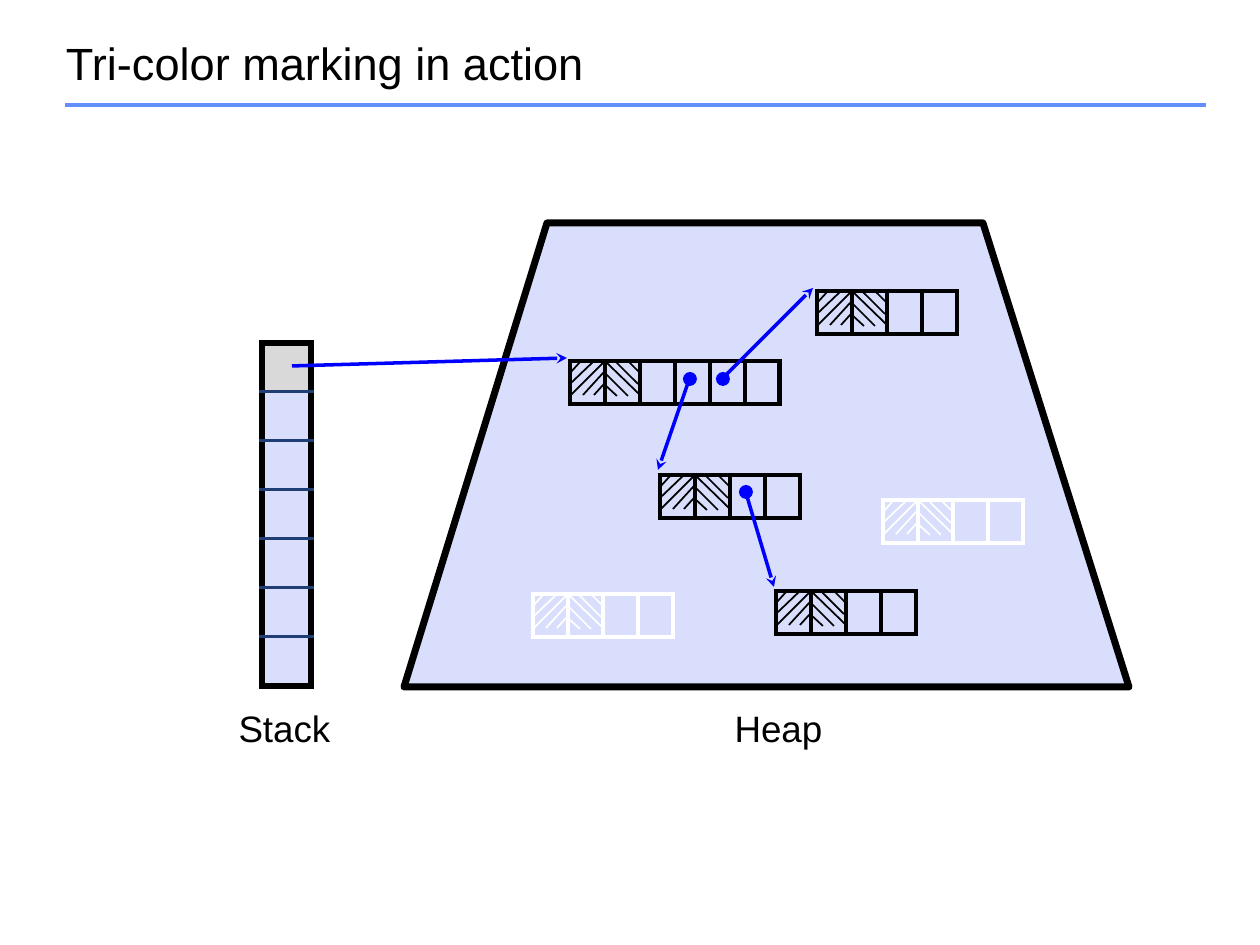
"""Builds the slide on tri-color marking with a stack, a heap and linked objects."""
from lxml.etree import SubElement as Sub
from pptx import Presentation
from pptx.dml.color import RGBColor as Rgb
from pptx.enum.shapes import MSO_CONNECTOR as Con, MSO_SHAPE as Kind
from pptx.enum.text import MSO_ANCHOR as Anchor, PP_ALIGN as Align
from pptx.oxml.ns import qn
from pptx.util import Pt

PX = 914400 // 126
FONT = "Arial"
HEX = dict(black="000000", white="FFFFFF", blue="0000FF", rule="618FFD",
           pale="BFC8FB", grey="D9D9D9", navy="1F3E75")

TITLE = ("Tri-color marking in action", 53, 31, 1155, 63, 25.8, Align.LEFT, (13, 13))
LABELS = [("Stack", 232), ("Heap", 726)]
HEAP = [(547, 223), (983, 223), (1129, 687), (404, 687)]
STACK = dict(x=262, y=343, side=49, rows=7)
CELL = (35, 43)
BLOCKS = [(660, 475, 4, "black"), (817, 291, 4, "black"), (883, 500, 4, "white"),
          (533, 594, 4, "white"), (570, 361, 6, "black"), (776, 591, 4, "black")]
HATCH = [(24, 0, 0, 23), (35, 0, 1, 34), (11, 0, 1, 11), (34, 11, 13, 34),
         (34, 23, 24, 34), (68, 23, 45, 0), (69, 33, 35, 0), (69, 11, 58, 0),
         (58, 35, 34, 11), (47, 35, 34, 23)]
DOTS = [(690, 379), (723, 379), (746, 492)]
ARROWS = [(658, 470, 689, 380), (813, 288, 724, 377),
          (774, 587, 746, 493), (567, 358, 292, 366)]


def px(*nums):
    return [round(n * PX) for n in nums]


def color(name):
    return Rgb.from_string(HEX[name])


def paint(fill, name, alpha=None):
    fill.solid()
    fill.fore_color.rgb = color(name)
    if alpha:
        tint = fill._xPr.find(qn("a:solidFill"))[0]
        Sub(tint, qn("a:alpha"), val=str(alpha * 1000))


def line(x1, y1, x2, y2, name, width, head=False):
    con = shapes.add_connector(Con.STRAIGHT, *px(x1, y1, x2, y2))
    con.line.color.rgb = color(name)
    con.line.width = Pt(width)
    if head:
        Sub(con.line._get_or_add_ln(), qn("a:headEnd"), type="stealth")
    Sub(con._element.spPr, qn("a:effectLst"))


def text(words, x, y, w, h, size, align, sides, wrap=True):
    box = shapes.add_textbox(*px(x, y, w, h))
    frame = box.text_frame
    frame.word_wrap = wrap
    frame.vertical_anchor = Anchor.MIDDLE
    frame.margin_left, frame.margin_right = px(*sides)
    frame.margin_top = frame.margin_bottom = px(5)[0]
    para = frame.paragraphs[0]
    para.alignment = align
    run = para.add_run()
    run.text = words
    run.font.name, run.font.size = FONT, Pt(size)
    run.font.color.rgb = color("black")


def edge(cell, sides):
    props = cell._tc.get_or_add_tcPr()
    for side in "LRTB":
        name, width = sides[side]
        ln = Sub(props, qn("a:ln" + side), w=str(Pt(width)))
        Sub(Sub(ln, qn("a:solidFill")), qn("a:srgbClr"), val=HEX[name])


def grid(x, y, rows, cols, w, h):
    table = shapes.add_table(rows, cols, *px(x, y, cols * w, rows * h)).table
    table.first_row = table.horz_banding = False
    for col in table.columns:
        col.width = px(w)[0]
    for row in table.rows:
        row.height = px(h)[0]
    for cell in table.iter_cells():
        cell.margin_left = cell.margin_right = 0
        cell.margin_top = cell.margin_bottom = 0
    return table


def block(x, y, count, name):
    for cell in grid(x, y, 1, count, *CELL).iter_cells():
        edge(cell, dict.fromkeys("LRTB", (name, 3)))
        cell.fill.background()
    for x1, y1, x2, y2 in HATCH:
        line(x + x1, y + y1, x + x2, y + y2, name, 1)


def stack(x, y, side, rows):
    thick, thin = ("black", 4), ("navy", 2)
    for i, cell in enumerate(grid(x, y, rows, 1, side, side).iter_cells()):
        edge(cell, dict(L=thick, R=thick, T=thin if i else thick,
                        B=thin if i < rows - 1 else thick))
        if i:
            paint(cell.fill, "pale", 60)
        else:
            paint(cell.fill, "grey")


def heap():
    form = shapes.build_freeform(*HEAP[0], scale=PX)
    form.add_line_segments(HEAP[1:], close=True)
    area = form.convert_to_shape()
    area.shadow.inherit = False
    paint(area.fill, "pale", 60)
    area.line.color.rgb = color("black")
    area.line.width = Pt(4)
    Sub(area.line._get_or_add_ln(), qn("a:round"))


def dot(x, y, size=14):
    disc = shapes.add_shape(Kind.OVAL, *px(x - size / 2, y - size / 2, size, size))
    disc.shadow.inherit = False
    paint(disc.fill, "blue")
    disc.line.fill.background()


deck = Presentation()
deck.slide_width, deck.slide_height = px(1260, 945)
shapes = deck.slides.add_slide(deck.slide_layouts[6]).shapes

line(65, 105, 1206, 105, "rule", 2)
heap()
text(*TITLE)
stack(**STACK)
for item in BLOCKS:
    block(*item)
for spot in DOTS:
    dot(*spot)
for words, x in LABELS:
    text(words, x, 701, 115, 54, 21, Align.CENTER, (0, 10), wrap=False)
for ends in ARROWS:
    line(*ends, "blue", 2, head=True)

deck.save("out.pptx")
